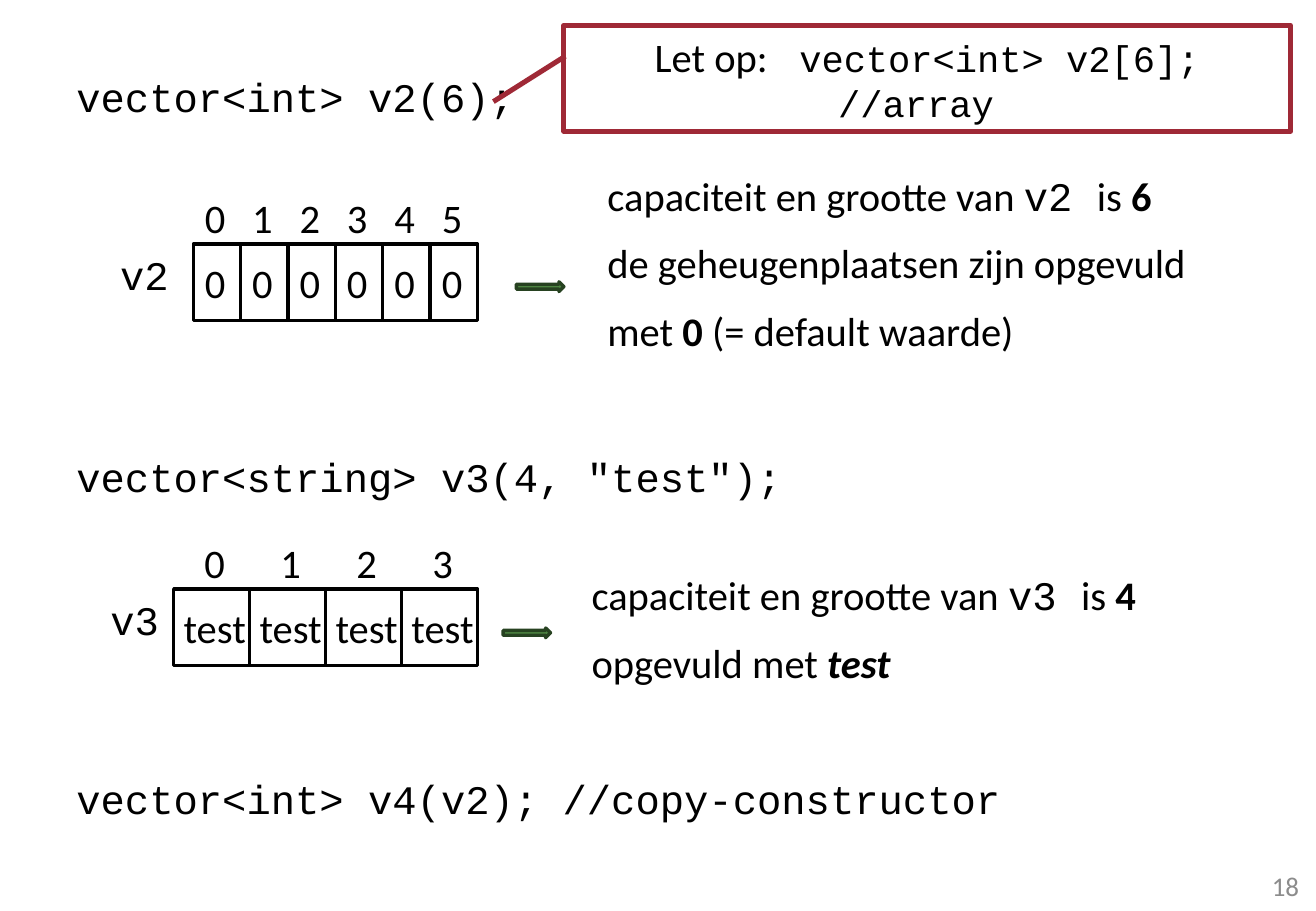
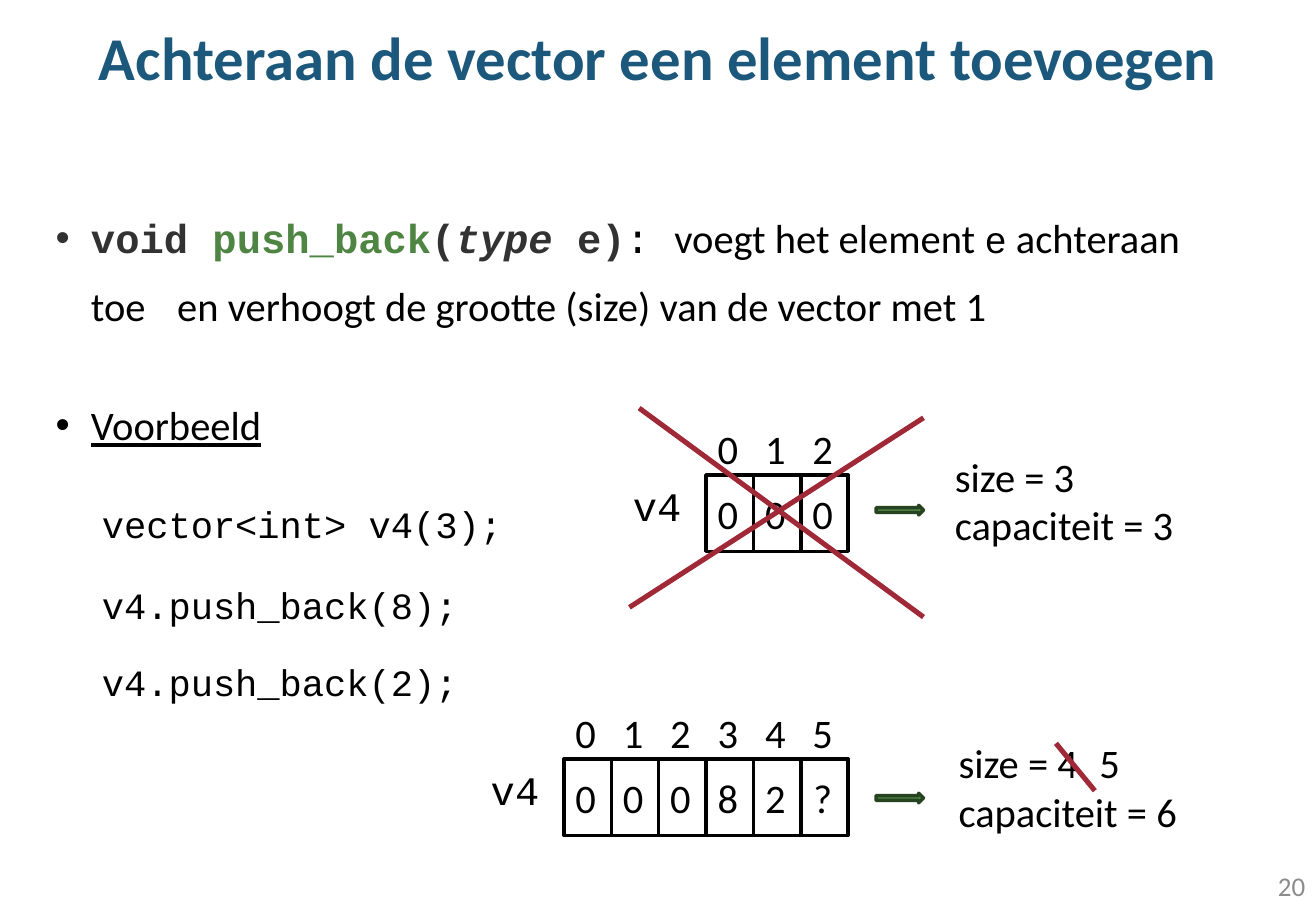
from pptx import Presentation
from pptx.dml.color import RGBColor
from pptx.enum import shapes as sh, text as tx
from pptx.oxml import parse_xml
from pptx.oxml.ns import nsdecls, qn
from pptx.util import Inches, Pt

HUES = {"ink": "000000", "dark": "323232", "title": "1B587C", "red": "9F2936",
        "green": "4E8542", "edge": "274221", "grey": "8C8C8C"}
SANS, MONO = "Calibri", "Courier New"
CODE = {"font": MONO}
SMALL = {"font": MONO, "size": 22}
BOLD = {"bold": True}
KEY = {"font": MONO, "bold": True, "hue": "dark"}
LEFT, MID, RIGHT = tx.PP_ALIGN.LEFT, tx.PP_ALIGN.CENTER, tx.PP_ALIGN.RIGHT
CELL_H = 0.63

CALLS = [(0.54, "vector<int> v2(6);"),
         (3.67, 'vector<string> v3(4, "test");'),
         (6.32, "vector<int> v4(v2); //copy-constructor")]
WARN = [[("Let op: ", {}), (" vector<int> v2[6]; //array ", SMALL)]]
PULL = [0.291, 0.002, 0.721, -0.097]

ZEROS = {"name": "v2", "vals": "000000", "at": (1.59, 2.01), "arrow": (4.25, 2.32)}
TESTS = {"name": "v3", "vals": ["test"] * 4, "at": (1.43, 4.85), "arrow": (4.14, 5.17),
         "wide": 0.625, "gap": 0.62, "pads": (0.05, 0)}
OLD = {"name": "v4", "vals": "000", "at": (5.81, 3.91), "arrow": (7.21, 4.16)}
NEW = {"name": "v4", "vals": "00082?", "at": (4.64, 6.25), "arrow": (7.21, 6.53)}

NOTES = [
    ((4.9, 1.2, 5.11, 1.78),
     [[("capaciteit en grootte van ", {}), ("v2 ", CODE), ("is ", {}), ("6", BOLD)],
      [("de geheugenplaatsen zijn opgevuld met ", {}), ("0 ", BOLD),
       ("(= default waarde)", {})]]),
    ((4.77, 4.49, 5.34, 1.22),
     [[("capaciteit en grootte van ", {}), ("v3 ", CODE), ("is ", {}), ("4", BOLD)],
      [("opgevuld met ", {}), ("test", {"bold": True, "italic": True})]]),
]
HEAD = [[("Achteraan de vector een element toevoegen",
          {"size": 36, "hue": "title", "bold": True})]]
BODY = [
    [("void ", KEY), ("push_back", {**KEY, "hue": "green"}), ("(", KEY),
     ("type", {**KEY, "italic": True}), (" e)", KEY), (": ", CODE),
     ("voegt het element ", {}), ("e", SMALL),
     (" achteraan toe\ten verhoogt de grootte (size) van de vector met 1", {})],
    [("Voorbeeld", {"underline": True})],
    [("vector<int> v4(3);", SMALL)],
    [("v4.push_back(8);", SMALL)],
    [("v4.push_back(2);", SMALL)],
]
GAPS = [4.8, 42, 31, 22, 19]
SIZES = [((7.76, 3.67, 2.63, 0.91), ["size = 3", "capaciteit = 3"]),
         ((7.79, 6.03, 2.43, 0.91), ["size = 4", "capaciteit = 6"]),
         ((8.95, 6.03, 0.47, 0.5), ["5"])]
STROKES = [(5.26, 3.36, 7.6, 5.08), (7.6, 3.44, 5.18, 5), (8.69, 6.12, 9.01, 6.51)]


def tint(hue):
    return RGBColor.from_string(HUES[hue])


def write(frame, paras, align=LEFT, lead=None):
    frame.word_wrap = True
    for n, runs in enumerate(paras):
        para = frame.paragraphs[0] if n == 0 else frame.add_paragraph()
        para.alignment = align
        if lead:
            para.line_spacing = Pt(lead)
        for words, look in runs:
            run = para.add_run()
            run.text = words
            font = run.font
            font.name = look.get("font", SANS)
            font.size = Pt(look.get("size", 24))
            font.color.rgb = tint(look.get("hue", "ink"))
            font.bold = look.get("bold", False)
            font.italic = look.get("italic", False)
            font.underline = look.get("underline", False)


def label(slide, spot, paras, align=LEFT, lead=None):
    frame = slide.shapes.add_textbox(*map(Inches, spot)).text_frame
    write(frame, paras, align, lead)
    return frame


def shape(slide, kind, spot, line, width, fill=None):
    item = slide.shapes.add_shape(kind, *map(Inches, spot))
    item.shadow.inherit = False
    item.line.color.rgb = tint(line)
    item.line.width = Pt(width)
    if fill:
        item.fill.solid()
        item.fill.fore_color.rgb = tint(fill)
    else:
        item.fill.background()
    return item


def pad(frame, sides):
    frame.margin_left, frame.margin_right = map(Inches, sides)


def vector(slide, name, vals, at, arrow, wide=0.39, gap=0.7, pads=(0, 0.03)):
    left, top = at
    for n, val in enumerate(vals):
        x = left + n * wide
        cell = shape(slide, sh.MSO_SHAPE.RECTANGLE, (x, top, wide, CELL_H), "ink", 2)
        frame = cell.text_frame
        frame.vertical_anchor = tx.MSO_ANCHOR.MIDDLE
        write(frame, [[(val, {})]], MID)
        pad(frame, pads)
        pad(label(slide, (x, top - 0.47, wide, 0.5), [[(str(n), {})]], MID), pads)
    label(slide, (left - gap, top, 0.7, 0.5), [[(name, CODE)]])
    shape(slide, sh.MSO_SHAPE.RIGHT_ARROW, (*arrow, 0.39, 0.08), "edge", 2, "green")


def stroke(slide, ends):
    line = slide.shapes.add_connector(sh.MSO_CONNECTOR.STRAIGHT, *map(Inches, ends))
    line.line.color.rgb = tint("red")
    line.line.width = Pt(3)
    line._element.spPr.append(parse_xml(f"<a:effectLst {nsdecls('a')}/>"))


def indent(para, left, dot):
    props = para._p.get_or_add_pPr()
    props.set("marL", str(Inches(left)))
    props.set("indent", str(-Inches(left) if dot else 0))
    if dot:
        font = props.makeelement(qn("a:buFont"), {"typeface": "Arial"})
        mark = props.makeelement(qn("a:buChar"), {"char": "•"})
        props.extend([font, mark])


def start(deck, page, left):
    slide = deck.slides.add_slide(deck.slide_layouts[6])
    frame = label(slide, (left, 7.09, 2.53, 0.4),
                  [[(page, {"size": 16, "hue": "grey"})]], RIGHT)
    frame.vertical_anchor = tx.MSO_ANCHOR.MIDDLE
    return slide


def build(deck):
    slide = start(deck, "18", 8.26)
    for top, words in CALLS:
        label(slide, (0.53, top, 9.65, 0.5), [[(words, CODE)]])
    for item in (ZEROS, TESTS):
        vector(slide, **item)
    for spot, paras in NOTES:
        label(slide, spot, paras, lead=40)
    call = shape(slide, sh.MSO_SHAPE.LINE_CALLOUT_1, (4.64, 0.21, 5.98, 0.87), "red", 3)
    for n, val in enumerate(PULL):
        call.adjustments[n] = val
    call.text_frame.vertical_anchor = tx.MSO_ANCHOR.MIDDLE
    write(call.text_frame, WARN, MID)

    slide = start(deck, "20", 8.31)
    frame = label(slide, (0, 0, 10.83, 0.92), HEAD, MID)
    frame.vertical_anchor = tx.MSO_ANCHOR.MIDDLE
    frame = label(slide, (0.36, 1.55, 9.72, 4.92), BODY)
    frame.paragraphs[0].line_spacing = Pt(40)
    for n, (para, gap) in enumerate(zip(frame.paragraphs, GAPS)):
        para.space_before = Pt(gap)
        indent(para, 0.29 if n < 2 else 0.38, n < 2)
    for item in (OLD, NEW):
        vector(slide, **item)
    for spot, lines in SIZES:
        label(slide, spot, [[(words, {})] for words in lines])
    for ends in STROKES:
        stroke(slide, ends)


def main():
    deck = Presentation()
    deck.slide_width, deck.slide_height = Inches(10.83), Inches(7.5)
    build(deck)
    deck.save("out.pptx")


if __name__ == "__main__":
    main()
